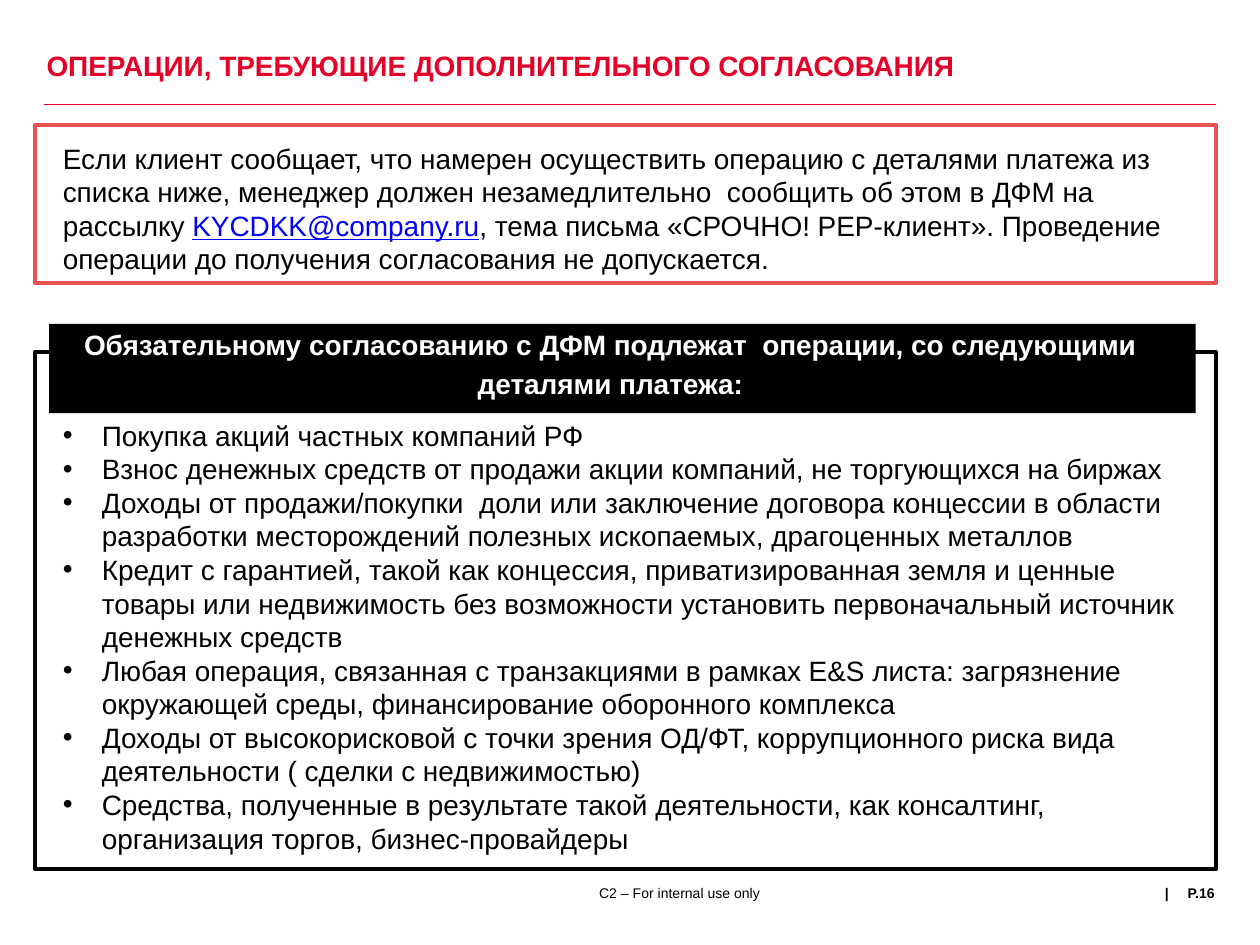
from lxml import etree
from pptx import Presentation
from pptx import util as u
from pptx.dml.color import RGBColor
from pptx.enum import shapes, text
from pptx.oxml.ns import qn

RED = RGBColor(0xE6, 0x00, 0x28)
CORAL = RGBColor(0xE9, 0x53, 0x53)
BLACK = RGBColor(0x00, 0x00, 0x00)
WHITE = RGBColor(0xFF, 0xFF, 0xFF)
LINK_BLUE = RGBColor(0x00, 0x00, 0xFF)

FONT = "Arial"
BODY_SIZE = 16
FOOTER_SIZE = 8
INDENT = u.Inches(0.31)

TITLE = "ОПЕРАЦИИ, ТРЕБУЮЩИЕ ДОПОЛНИТЕЛЬНОГО СОГЛАСОВАНИЯ"
NOTICE = [
    ("Если клиент сообщает, что намерен осуществить операцию с деталями платежа "
     "из списка ниже, менеджер должен незамедлительно  сообщить об этом в ДФМ "
     "на рассылку ", False),
    ("KYCDKK@company.ru", True),
    (", тема письма «СРОЧНО! PEP-клиент». Проведение операции до получения "
     "согласования не допускается.", False),
]
HEADING = [
    "Обязательному согласованию с ДФМ подлежат  операции, со следующими",
    "деталями платежа:",
]
OPERATIONS = [
    "Покупка акций частных компаний РФ",
    "Взнос денежных средств от продажи акции компаний, не торгующихся на биржах",
    "Доходы от продажи/покупки  доли или заключение договора концессии в области "
    "разработки месторождений полезных ископаемых, драгоценных металлов",
    "Кредит с гарантией, такой как концессия, приватизированная земля и ценные "
    "товары или недвижимость без возможности установить первоначальный источник "
    "денежных средств",
    "Любая операция, связанная с транзакциями в рамках E&S листа: загрязнение "
    "окружающей среды, финансирование оборонного комплекса",
    "Доходы от высокорисковой с точки зрения ОД/ФТ, коррупционного риска вида "
    "деятельности ( сделки с недвижимостью)",
    "Средства, полученные в результате такой деятельности, как консалтинг, "
    "организация торгов, бизнес-провайдеры",
]


def add_text(slide, box, lines, size=BODY_SIZE, color=BLACK, bold=False,
             align=text.PP_ALIGN.LEFT, inset=True, wrap=True):
    """Add a text box with one paragraph per line and return its frame."""
    frame = slide.shapes.add_textbox(*map(u.Inches, box)).text_frame
    frame.word_wrap = wrap
    if not inset:
        frame.margin_left = frame.margin_right = 0
        frame.margin_top = frame.margin_bottom = 0
    for index, line in enumerate(lines):
        paragraph = frame.add_paragraph() if index else frame.paragraphs[0]
        paragraph.text = line
        paragraph.alignment = align
        paragraph.font.name = FONT
        paragraph.font.size = u.Pt(size)
        paragraph.font.bold = bold
        paragraph.font.color.rgb = color
    return frame


def add_rectangle(slide, box, fill=None, line=None):
    rectangle = slide.shapes.add_shape(
        shapes.MSO_SHAPE.RECTANGLE, *map(u.Inches, box))
    rectangle.shadow.inherit = False
    if fill is None:
        rectangle.fill.background()
    else:
        rectangle.fill.solid()
        rectangle.fill.fore_color.rgb = fill
    if line is None:
        rectangle.line.fill.background()
    else:
        rectangle.line.color.rgb = line
        rectangle.line.width = u.Pt(2.25)


def add_bullet(paragraph):
    properties = paragraph._p.get_or_add_pPr()
    properties.set("marL", str(INDENT))
    properties.set("indent", str(-INDENT))
    etree.SubElement(properties, qn("a:buFont")).set("typeface", FONT)
    etree.SubElement(properties, qn("a:buChar")).set("char", "•")


def add_title(slide, left, top, width, height):
    frame = add_text(slide, (left + 0.02, top, 8.56, height), [TITLE],
                     color=RED, bold=True, inset=False)
    frame.vertical_anchor = text.MSO_ANCHOR.MIDDLE
    frame.paragraphs[0].line_spacing = 0.7

    # Rule under the title
    bottom = u.Inches(top + height)
    rule = slide.shapes.add_connector(
        shapes.MSO_CONNECTOR.STRAIGHT,
        u.Inches(left), bottom, u.Inches(left + width), bottom)
    rule.line.color.rgb = RED
    rule.line.width = u.Pt(0.5)
    etree.SubElement(rule._element.spPr, qn("a:effectLst"))


def add_notice(slide, left, top, width, height):
    add_rectangle(slide, (left, top, width, height), line=CORAL)
    frame = add_text(slide, (left + 0.12, top + 0.08, width - 0.28, height - 0.08),
                     [""])
    for wording, is_address in NOTICE:
        run = frame.paragraphs[0].add_run()
        run.text = wording
        if is_address:
            run.font.color.rgb = LINK_BLUE
            run.font.underline = True


def add_operations(slide, left, top, width, height):
    add_rectangle(slide, (left, top, width, height), line=BLACK)

    # Heading band across the top edge of the frame
    add_rectangle(slide, (left + 0.11, top - 0.22, 9.1, 0.71), fill=BLACK)
    heading = add_text(slide, (left - 0.08, top - 0.19, 9.29, 0.44), HEADING,
                       color=WHITE, bold=True, align=text.PP_ALIGN.CENTER,
                       inset=False)
    for paragraph in heading.paragraphs:
        paragraph.space_before = u.Pt(0.2 * BODY_SIZE)

    # Bulleted list
    operations = add_text(
        slide, (left + 0.12, top + 0.48, width - 0.28, height - 0.48), OPERATIONS)
    for paragraph in operations.paragraphs:
        add_bullet(paragraph)


def add_footer(slide, left, top, width, height):
    right = left + width
    center = text.PP_ALIGN.CENTER
    add_text(slide, (left, top, 3.93, height), ["C2 – For internal use only"],
             FOOTER_SIZE, align=center, inset=False)
    add_text(slide, (right - 0.42, top, 0.08, height), ["|"],
             FOOTER_SIZE, bold=True, align=center, inset=False, wrap=False)
    add_text(slide, (right - 0.39, top, 0.39, height), ["P.16"],
             FOOTER_SIZE, bold=True, align=text.PP_ALIGN.RIGHT, inset=False)


def main():
    presentation = Presentation()
    presentation.slide_width = u.Inches(10)
    presentation.slide_height = u.Inches(7.5)
    slide = presentation.slides.add_slide(presentation.slide_layouts[6])

    add_title(slide, 0.35, 0.28, 9.3, 0.55)
    add_notice(slide, 0.28, 0.99, 9.37, 1.26)
    add_operations(slide, 0.28, 2.79, 9.37, 4.11)
    add_footer(slide, 3.43, 7.02, 6.21, 0.48)

    presentation.save("out.pptx")


if __name__ == "__main__":
    main()
